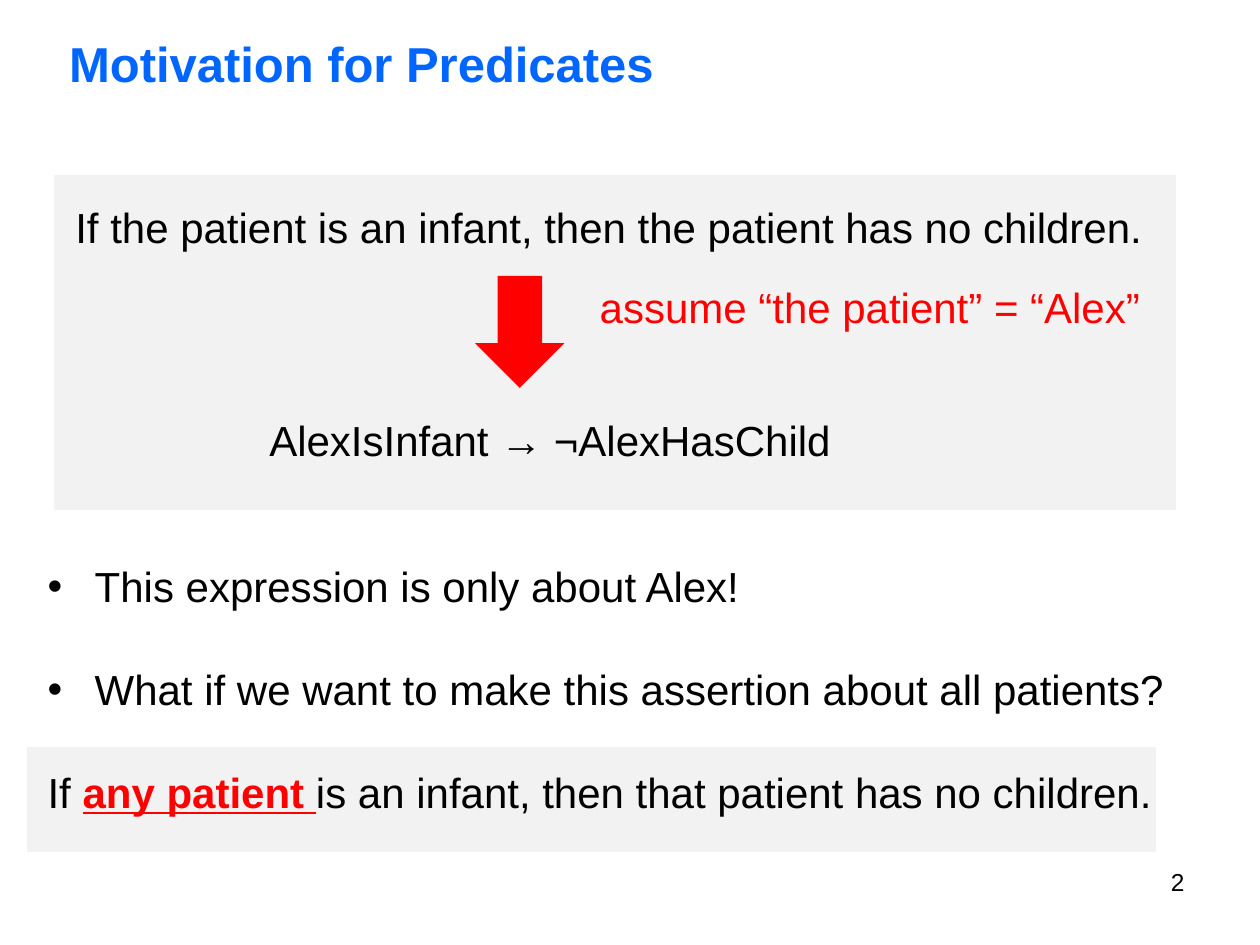
from lxml.etree import SubElement
from pptx import Presentation
from pptx.dml.color import RGBColor
from pptx.enum.shapes import MSO_SHAPE as Shape
from pptx.enum.text import MSO_ANCHOR as Anchor, PP_ALIGN as Align
from pptx.oxml.ns import qn
from pptx.util import Cm, Pt

COLORS = {"title": "0066FF", "text": "000000", "accent": "FF0000",
          "panel": "F2F2F2", "edge": "FFFFFF"}
LINE_HEIGHT = 1.27
TITLE_ONLY = 5


def color(name):
    return RGBColor.from_string(COLORS[name])


def write(paragraph, text, size=24, ink="text", bold=False, underline=False):
    run = paragraph.add_run()
    run.text = text
    font = run.font
    font.name, font.size = "Arial", Pt(size)
    font.bold, font.underline = bold, underline
    font.color.rgb = color(ink)


def add_frame(slide, left, top, width, height=LINE_HEIGHT):
    frame = slide.shapes.add_textbox(Cm(left), Cm(top), Cm(width), Cm(height)).text_frame
    frame.word_wrap = True
    return frame


def add_line(slide, text, left, top, width, align=Align.LEFT, **style):
    paragraph = add_frame(slide, left, top, width).paragraphs[0]
    paragraph.alignment = align
    write(paragraph, text, **style)


def add_block(slide, preset, left, top, width, height, fill, edge=None):
    block = slide.shapes.add_shape(preset, Cm(left), Cm(top), Cm(width), Cm(height))
    block.shadow.inherit = False
    block.fill.solid()
    block.fill.fore_color.rgb = color(fill)
    if edge:
        block.line.color.rgb = color(edge)
        block.line.width = Pt(1.5)
    else:
        block.line.fill.background()


def add_bullet(paragraph):
    props = paragraph._p.get_or_add_pPr()
    indent = Cm(0.95)
    props.set("marL", str(indent))
    props.set("indent", str(-indent))
    SubElement(props, qn("a:buFont"), typeface="Arial")
    SubElement(props, qn("a:buChar"), char="•")


def add_title(slide, left, top, width, height):
    title = slide.shapes.title
    title.left, title.top, title.width, title.height = map(Cm, (left, top, width, height))
    title.text_frame.vertical_anchor = Anchor.MIDDLE
    heading = title.text_frame.paragraphs[0]
    heading.alignment = Align.LEFT
    write(heading, "Motivation for Predicates", size=28, ink="title", bold=True)


def add_example(slide, left, top, width, height):
    """Panel that turns the sentence about a patient into a formula about Alex."""
    add_block(slide, Shape.RECTANGLE, left, top, width, height, "panel", "edge")
    add_line(slide, "If the patient is an infant, then the patient has no children.",
             left + 0.2, top + 0.44, width - 0.4)
    add_block(slide, Shape.DOWN_ARROW, left + 8.51, top + 2.06, 1.8, 2.26, "accent")
    add_line(slide, "AlexIsInfant → ¬AlexHasChild", left + 4.11, top + 4.73, 12.04)
    add_line(slide, "assume “the patient” = “Alex”", left + 10.77, top + 2.06, 11.6,
             ink="accent")


def add_questions(slide, left, top, width, height):
    """Two bullets, then the general statement on a band at the foot of the box."""
    band_height = 2.16
    add_block(slide, Shape.RECTANGLE, left, top + height - band_height, width,
              band_height, "panel", "edge")
    frame = add_frame(slide, left + 0.2, top, width + 0.4, 5.38)
    paragraph = frame.paragraphs[0]
    for question in ("This expression is only about Alex!",
                     "What if we want to make this assertion about all patients?"):
        add_bullet(paragraph)
        paragraph.space_after = Pt(30)
        write(paragraph, question)
        paragraph = frame.add_paragraph()
    write(paragraph, "If ")
    write(paragraph, "any patient ", ink="accent", bold=True, underline=True)
    write(paragraph, "is an infant, then that patient has no children.")


def main():
    deck = Presentation()
    deck.slide_width, deck.slide_height = Cm(25.4), Cm(19.05)
    slide = deck.slides.add_slide(deck.slide_layouts[TITLE_ONLY])
    add_title(slide, 1.14, 0.41, 23.67, 1.73)
    add_example(slide, 1.07, 3.5, 22.66, 6.8)
    add_questions(slide, 0.51, 11.18, 22.83, 6.02)
    add_line(slide, "2", 18.21, 17.35, 5.92, align=Align.RIGHT, size=14)
    deck.save("out.pptx")


if __name__ == "__main__":
    main()
